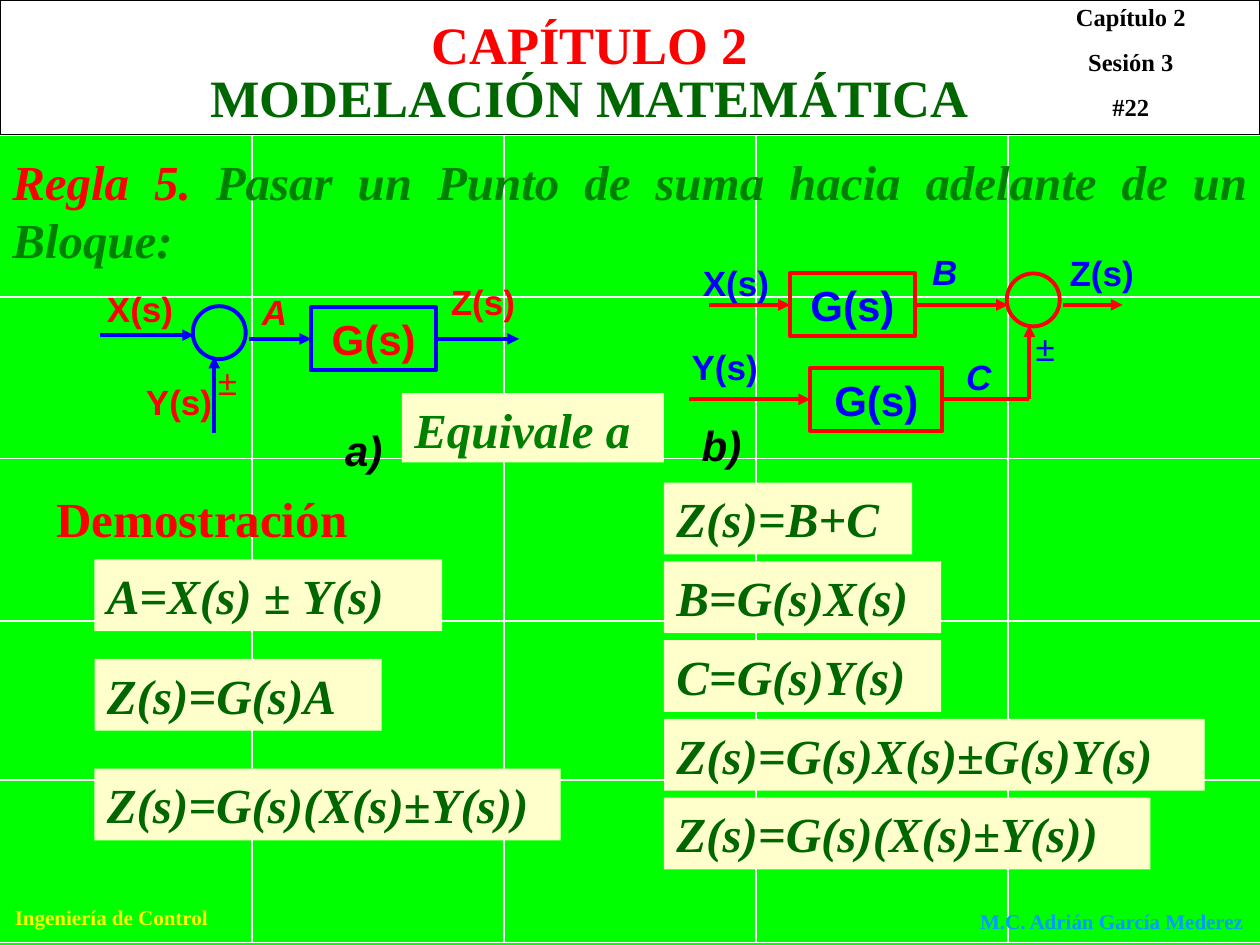
from pptx import Presentation
from pptx.dml.color import RGBColor
from pptx.enum.shapes import MSO_CONNECTOR, MSO_SHAPE
from pptx.enum.text import MSO_ANCHOR, PP_ALIGN
from pptx.oxml.ns import qn
from pptx.util import Inches, Pt
from lxml.etree import SubElement

RED, BLUE, BLACK, WHITE = "FF0000", "0000FF", "000000", "FFFFFF"
GREEN, DARK, CREAM = "008000", "006600", "FFFFCC"
TIMES, ARIAL = "Times New Roman", "Arial"
LEFT, MID, JUST = PP_ALIGN.LEFT, PP_ALIGN.CENTER, PP_ALIGN.JUSTIFY
rgb = RGBColor.from_string

deck = Presentation()
deck.slide_width, deck.slide_height = Inches(10), Inches(7.5)
COL, ROW = deck.slide_width / 10, deck.slide_height / 7.5
slide = deck.slides.add_slide(deck.slide_layouts[6])
slide.background.fill.solid()
slide.background.fill.fore_color.rgb = rgb("00FF00")


def block(at, paras=(), fill=None, edge=None, width=2.25, kind=MSO_SHAPE.RECTANGLE,
          align=LEFT, gap=0, **style):
    """Add a box at (column, row, columns, rows); each paragraph lists (text, colour) runs."""
    x, y, w, h = at
    place = [int(v) for v in (x * COL, y * ROW, w * COL, h * ROW)]
    if fill or edge:
        box = slide.shapes.add_shape(kind, *place)
        box.shadow.inherit = False
        if fill:
            box.fill.solid()
            box.fill.fore_color.rgb = rgb(fill)
        else:
            box.fill.background()
        if edge:
            box.line.color.rgb = rgb(edge)
            box.line.width = Pt(width)
        else:
            box.line.fill.background()
    else:
        box = slide.shapes.add_textbox(*place)
    frame = box.text_frame
    frame.word_wrap = True
    frame.vertical_anchor = MSO_ANCHOR.TOP
    for i, runs in enumerate(paras):
        para = frame.add_paragraph() if i else frame.paragraphs[0]
        para.alignment = align
        if i:
            para.space_before = Pt(gap)
        for text, tone in runs:
            run = para.add_run()
            run.text = text
            run.font.color.rgb = rgb(tone)
            for key, value in style.items():
                setattr(run.font, key, value)
    return box


def wire(x1, y1, x2, y2, tone, width=2.25, head=True):
    """Add a straight line between two grid points, with an arrowhead at its end."""
    ends = [int(v) for v in (x1 * COL, y1 * ROW, x2 * COL, y2 * ROW)]
    link = slide.shapes.add_connector(MSO_CONNECTOR.STRAIGHT, *ends)
    link.line.color.rgb = rgb(tone)
    link.line.width = Pt(width)
    if head:
        SubElement(link.line._get_or_add_ln(), qn("a:tailEnd"), type="triangle")
    SubElement(link._element.spPr, qn("a:effectLst"))
    return link


# Background grid and header
TOP, END = 1.07, 7.48
for x in (2, 4, 6, 8):
    wire(x, TOP, x, END, WHITE, 1, False)
for y in (TOP, 2.36, 3.64, 4.93, 6.19, END):
    wire(0, y, 10, y, WHITE, 1, False)
block((0, 0, 10, TOP), fill=WHITE, edge=BLACK, width=0.75)

bold = dict(name=TIMES, bold=True)
title = dict(bold, size=Pt(30), align=MID)
block((0.9, 0.05, 7.56, 0.6), [[("CAPÍTULO 2", RED)]], **title)
block((0.9, 0.47, 7.56, 0.6), [[("MODELACIÓN MATEMÁTICA", DARK)]], **title)
info = [[(text, BLACK)] for text in ("Capítulo 2", "Sesión 3", "#22")]
block((8.15, -0.03, 1.65, 1.05), info, align=MID, gap=8.8, size=Pt(14), **bold)

# Footer
block((0, 7.13, 1.77, 0.3), [[("Ingeniería de Control", "FFFF00")]],
      align=MID, size=Pt(12), **bold)
block((7.68, 7.16, 2.32, 0.3), [[("M.C. Adrián García Mederez", "0099FF")]],
      size=Pt(12), **bold)

# Rule
big = dict(bold, size=Pt(28))
rule = [("Regla 5.", RED), (" Pasar un Punto de suma hacia adelante de un Bloque:", GREEN)]
block((0, 1.15, 10, 1.04), [rule], align=JUST, italic=True, **big)

# Block diagrams: gains, summing points, signals, labels
gains = {}
for name, x, y, w, edge, tone in (
    ("a", 2.47, 2.44, 0.99, BLUE, RED),
    ("b", 6.27, 2.17, 0.99, RED, BLUE),
    ("c", 6.43, 2.92, 1.05, RED, BLUE),
):
    gains[name] = block((x, y, w, 0.5), [[("G(s)", tone)]], edge=edge, align=MID,
                        name=ARIAL, bold=True, size=Pt(24))
for x, y, edge in ((1.53, 2.43, BLUE), (7.99, 2.17, RED)):
    block((x, y, 0.42, 0.42), edge=edge, kind=MSO_SHAPE.OVAL)

for x1, y1, x2, y2, tone, head, start, stop in (
    (0.79, 2.66, 1.54, 2.66, BLUE, True, None, None),
    (1.7, 3.44, 1.7, 2.83, BLUE, True, None, None),
    (1.98, 2.69, 2.47, 2.69, BLUE, True, None, "a"),
    (3.46, 2.69, 4.12, 2.69, BLUE, True, "a", None),
    (5.63, 2.42, 6.27, 2.42, RED, True, None, "b"),
    (7.26, 2.42, 8, 2.42, RED, True, "b", None),
    (8.44, 2.42, 8.91, 2.42, RED, True, None, None),
    (5.47, 3.17, 6.43, 3.17, RED, True, None, "c"),
    (7.48, 3.17, 8.17, 3.17, RED, False, "c", None),
    (8.17, 3.17, 8.17, 2.58, RED, True, None, None),
):
    link = wire(x1, y1, x2, y2, tone, head=head)
    if start:
        link.begin_connect(gains[start], 3)
    if stop:
        link.end_connect(gains[stop], 1)

plain = dict(name=ARIAL, size=Pt(20))
strong = dict(plain, bold=True)
slant = dict(strong, italic=True)
mark = dict(slant, size=Pt(24))
for text, x, y, tone, style in (
    ("X(s)", 0.75, 2.23, RED, strong),
    ("Y(s)", 1.06, 2.97, RED, strong),
    ("Z(s)", 3.48, 2.18, RED, strong),
    ("±", 1.63, 2.81, RED, plain),
    ("A", 1.98, 2.26, RED, slant),
    ("a)", 2.64, 3.32, BLACK, mark),
    ("X(s)", 5.48, 2.03, BLUE, strong),
    ("Y(s)", 5.39, 2.69, BLUE, strong),
    ("Z(s)", 8.39, 1.95, BLUE, strong),
    ("±", 8.12, 2.54, BLUE, plain),
    ("B", 7.3, 1.94, BLUE, slant),
    ("C", 7.57, 2.77, BLUE, slant),
    ("b)", 5.47, 3.28, BLACK, mark),
):
    block((x, y, 0.99, 0.5), [[(text, tone)]], **style)

# Proof
block((3.19, 3.12, 2.08, 0.55), [[("Equivale a", GREEN)]], fill=CREAM, italic=True, **big)
block((0.35, 3.83, 2.52, 0.57), [[("Demostración", RED)]], **big)
steps = [
    ("A=X(s) ± Y(s)", 0.75, 4.44, 2.76),
    ("Z(s)=G(s)A", 0.75, 5.23, 2.28),
    ("Z(s)=G(s)(X(s)±Y(s))", 0.75, 6.1, 3.7),
]
for i, (text, w) in enumerate((
    ("Z(s)=B+C", 1.97),
    ("B=G(s)X(s)", 2.2),
    ("C=G(s)Y(s)", 2.2),
    ("Z(s)=G(s)X(s)±G(s)Y(s)", 4.29),
    ("Z(s)=G(s)(X(s)±Y(s))", 3.86),
)):
    steps.append((text, 5.27, 3.83 + i * 2.5 / 4, w))
for text, x, y, w in steps:
    block((x, y, w, 0.57), [[(text, DARK)]], fill=CREAM, italic=True, **big)

deck.save("out.pptx")
